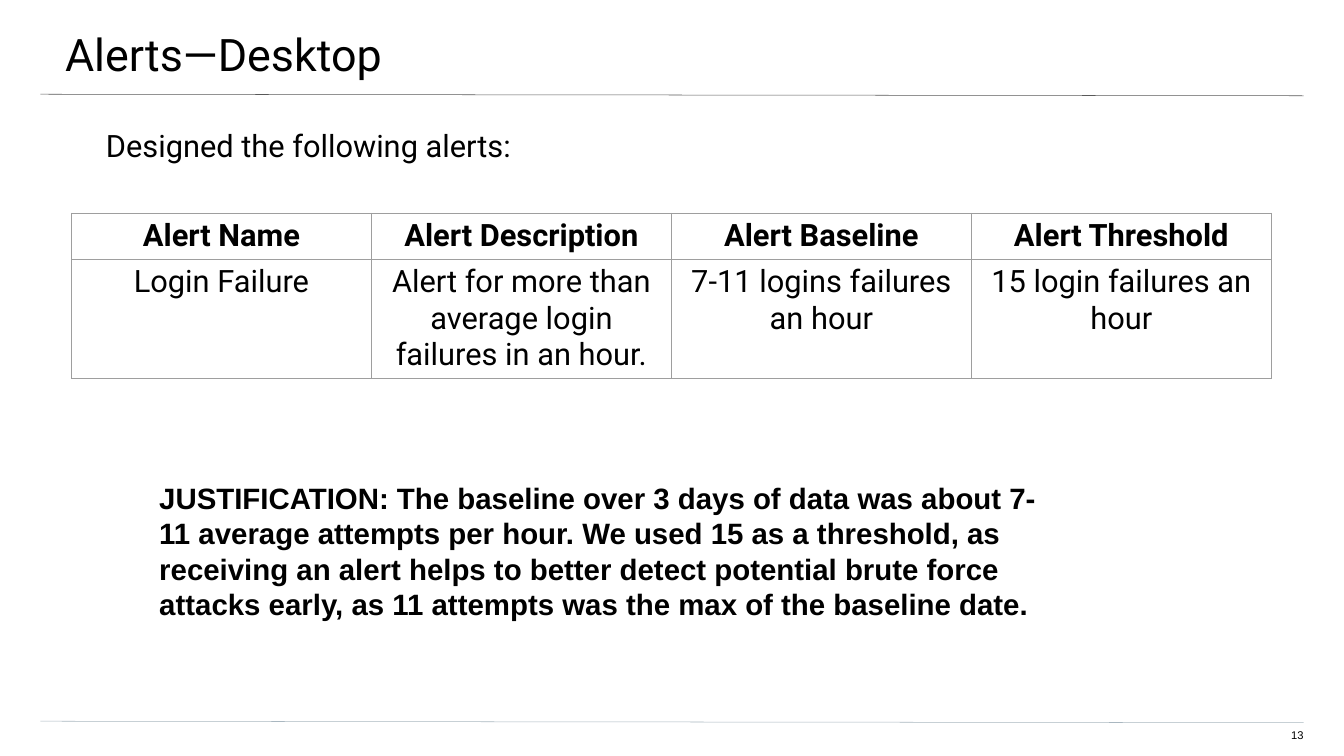
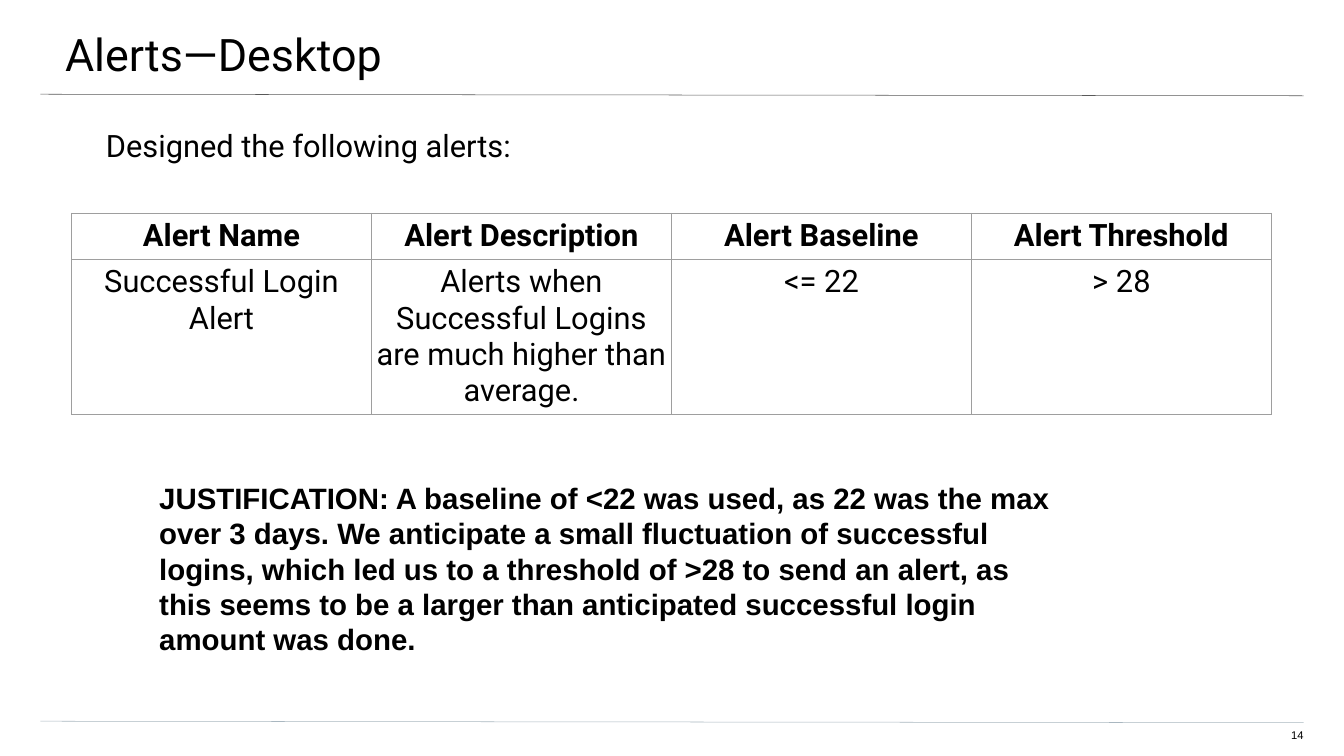
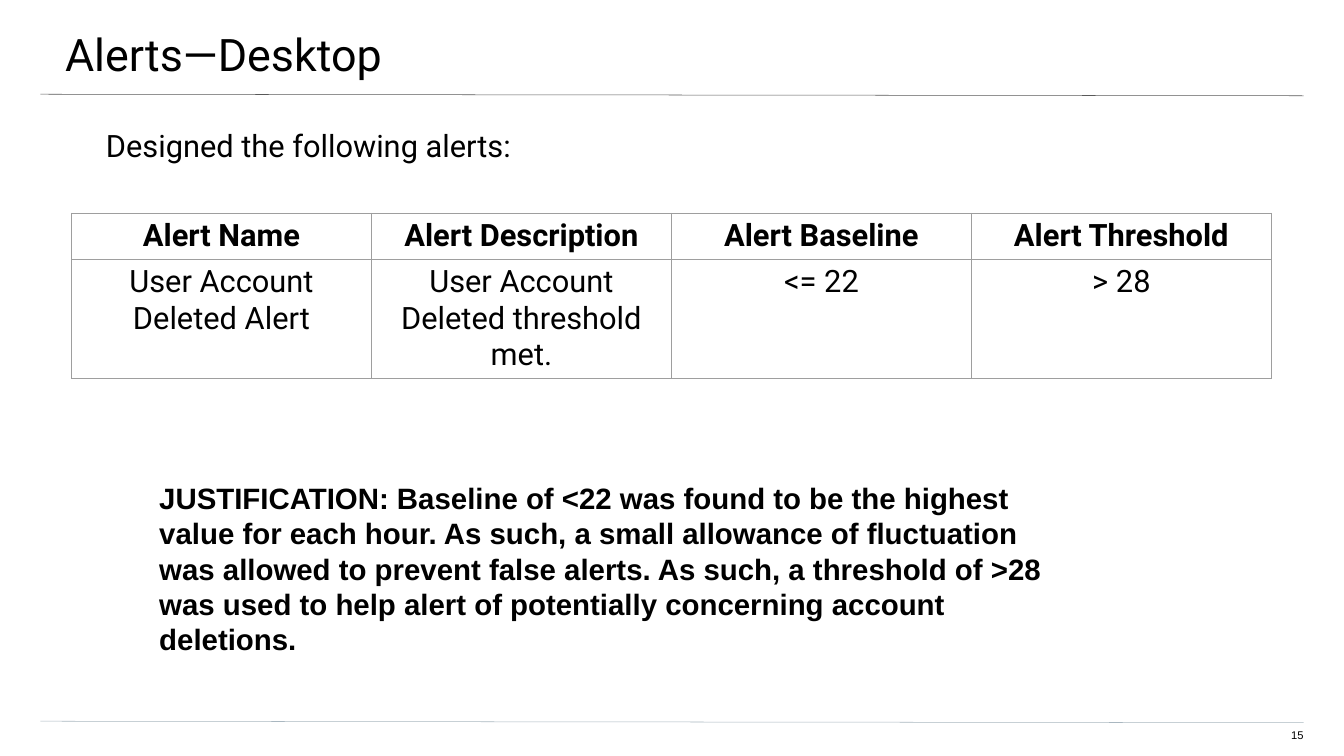
import pptx
import pptx.util
import pptx.dml.color
import pptx.enum.shapes
import pptx.enum.text
import pptx.oxml
import pptx.oxml.ns

PX = 9144
WIDE, HIGH = 2666, 1500
BLACK = pptx.dml.color.RGBColor(0x00, 0x00, 0x00)
WHITE = pptx.dml.color.RGBColor(0xFF, 0xFF, 0xFF)
DARK = pptx.dml.color.RGBColor(0x59, 0x59, 0x59)
MIST = pptx.dml.color.RGBColor(0xA9, 0xB7, 0xC0)
GREY = pptx.dml.color.RGBColor(0x9E, 0x9E, 0x9E)
HAIR = pptx.util.Pt(0.75)
ALIGN = pptx.enum.text.PP_ALIGN
FIT = pptx.enum.text.MSO_AUTO_SIZE

TITLE = {"name": "Roboto", "size": pptx.util.Pt(64), "bold": False}
BODY = {"name": "Roboto", "size": pptx.util.Pt(44), "bold": False}
HEAD = {**BODY, "bold": True}
REASON = {"name": "Arial", "size": pptx.util.Pt(42), "bold": True}
COUNT = {"name": "Arial", "size": pptx.util.Pt(16), "bold": False}

BAND = (-4, 0, 2673, 156)
LEAD = (77, 251, 2509, 1079)
GRID = (142, 423, 2380, 135)
NOTE = (306, 943, 1812, 374)
FOOT = (80, 1431, 2506, 46)

TOPIC = "Alerts—Desktop"
INTRO = "Designed the following alerts:"
FIRST = 13
HEADS = ["Alert Name", "Alert Description", "Alert Baseline", "Alert Threshold"]
ALERTS = [
    (
        ["Login Failure", "Alert for more than average login failures in an hour.",
         "7-11 logins failures an hour", "15 login failures an hour"],
        "JUSTIFICATION: The baseline over 3 days of data was about 7-11 average "
        "attempts per hour. We used 15 as a threshold, as receiving an alert helps "
        "to better detect potential brute force attacks early, as 11 attempts was "
        "the max of the baseline date.",
    ),
    (
        ["Successful Login Alert",
         "Alerts when Successful Logins are much higher than average.",
         "<= 22", "> 28"],
        "JUSTIFICATION: A baseline of <22 was used, as 22 was the max over 3 days. "
        "We anticipate a small fluctuation of successful logins, which led us to a "
        "threshold of >28 to send an alert, as this seems to be a larger than "
        "anticipated successful login amount was done.",
    ),
    (
        ["User Account Deleted Alert", "User Account Deleted threshold met.",
         "<= 22", "> 28"],
        "JUSTIFICATION: Baseline of <22 was found to be the highest value for each "
        "hour. As such, a small allowance of fluctuation was allowed to prevent "
        "false alerts. As such, a threshold of >28 was used to help alert of "
        "potentially concerning account deletions.",
    ),
]


def scale(box):
    return [n * PX for n in box]


def apply(item, look):
    for key, value in look.items():
        setattr(item, key, value)


def inset(item, pads):
    sides = ("left", "top", "right", "bottom")
    apply(item, {f"margin_{side}": pad * PX for side, pad in zip(sides, pads)})


def write(frame, text, look, align=ALIGN.LEFT):
    frame.text = text
    line = frame.paragraphs[0]
    apply(line, {"alignment": align, "line_spacing": 1.0})
    font = line.runs[0].font
    apply(font, look)
    font.color.rgb = BLACK


def dress(frame, pads, fit=FIT.NONE):
    apply(frame, {"word_wrap": True, "auto_size": fit,
                  "vertical_anchor": pptx.enum.text.MSO_ANCHOR.TOP})
    inset(frame, pads)


def label(slide, box, text, look, pads, align=ALIGN.LEFT, fit=FIT.NONE):
    frame = slide.shapes.add_textbox(*scale(box)).text_frame
    dress(frame, pads, fit)
    write(frame, text, look, align)


def rule(slide, left, top, width, color):
    ends = scale((left, top, left + width, top + 3))
    line = slide.shapes.add_connector(pptx.enum.shapes.MSO_CONNECTOR.STRAIGHT, *ends)
    line.line.color.rgb = color
    line.line.width = HAIR
    line._element.spPr.append(pptx.oxml.parse_xml(
        f'<a:effectLst {pptx.oxml.ns.nsdecls("a")}/>'))


def band(slide, box):
    left, top, width, high = box
    rule(slide, left + 84, top + high + 31, FOOT[2], DARK)
    title = slide.shapes.title
    apply(title, dict(zip(("left", "top", "width", "height"), scale(box))))
    dress(title.text_frame, (133, 53, 80, 27))
    write(title.text_frame, TOPIC, TITLE)


def foot(slide, box, count):
    left, top, width, high = box
    rule(slide, left, top, width, MIST)
    label(slide, (left + width - 76, top + 15, 76, high - 15), str(count),
          COUNT, (0, 0, 0, 27), ALIGN.RIGHT)


def edge(cell):
    trim = cell._tc.get_or_add_tcPr()
    for side in "LRTB":
        trim.append(pptx.oxml.parse_xml(
            f'<a:ln{side} {pptx.oxml.ns.nsdecls("a")} w="{int(HAIR)}"><a:solidFill>'
            f'<a:srgbClr val="{GREY}"/></a:solidFill></a:ln{side}>'))


def grid(slide, box, cells):
    rows = [HEADS, cells]
    table = slide.shapes.add_table(len(rows), len(HEADS), *scale(box)).table
    apply(table, {"first_row": False, "horz_banding": False})
    for col in table.columns:
        col.width = box[2] * PX // len(HEADS)
    for row, high in zip(table.rows, (42, box[3] - 42)):
        row.height = high * PX
    for row, texts, look in zip(table.rows, rows, (HEAD, BODY)):
        for cell, text in zip(row.cells, texts):
            inset(cell, (10, 10, 10, 10))
            edge(cell)
            cell.fill.background()
            write(cell.text_frame, text, look, ALIGN.CENTER)


def alert(deck, count, cells, reason):
    slide = deck.slides.add_slide(deck.slide_layouts[5])
    slide.background.fill.solid()
    slide.background.fill.fore_color.rgb = WHITE
    band(slide, BAND)
    foot(slide, FOOT, count)
    label(slide, LEAD, INTRO, BODY, (133, 0, 133, 267))
    grid(slide, GRID, cells)
    label(slide, NOTE, reason, REASON, (10, 10, 10, 10), fit=FIT.SHAPE_TO_FIT_TEXT)


def main():
    deck = pptx.Presentation()
    apply(deck, {"slide_width": WIDE * PX, "slide_height": HIGH * PX})
    for count, (cells, reason) in enumerate(ALERTS, FIRST):
        alert(deck, count, cells, reason)
    deck.save("out.pptx")


if __name__ == "__main__":
    main()
